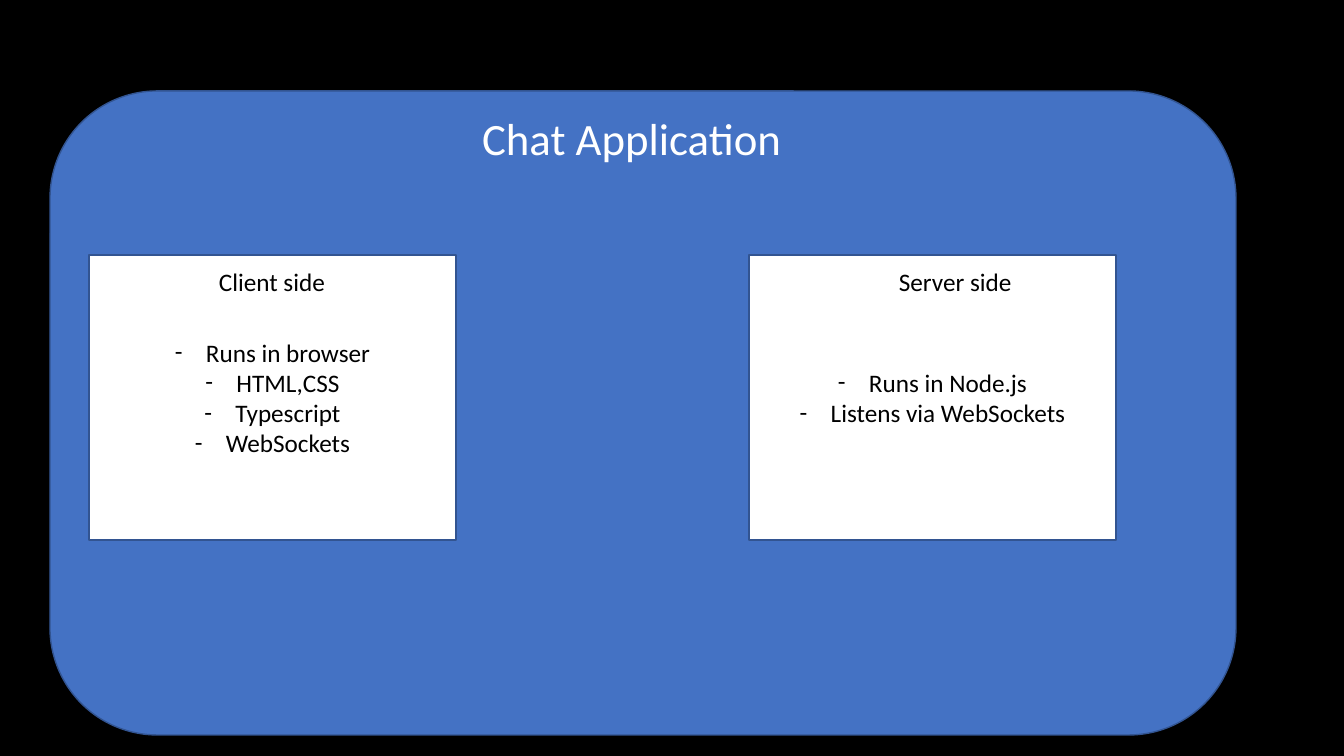
from lxml.etree import SubElement
from pptx import Presentation
from pptx.dml.color import RGBColor
from pptx.enum.shapes import MSO_SHAPE as SHAPE
from pptx.enum.text import MSO_ANCHOR as ANCHOR, MSO_AUTO_SIZE as AUTO, PP_ALIGN as ALIGN
from pptx.oxml.ns import qn
from pptx.util import Pt

TITLE = "Chat Application"
SIDES = [
    {"name": "Client side", "left": 89, "label": (209, 261, 128, 40),
     "items": ["Runs in browser", "HTML,CSS", "Typescript", "WebSockets"]},
    {"name": "Server side", "left": 749, "label": (889, 261, 134, 40),
     "items": ["Runs in Node.js", "Listens via WebSockets"]},
]
PANEL = (50, 91, 1186, 644)
TITLE_BOX = (472, 106, 324, 65)
BOX_TOP, BOX_W, BOX_H = 255, 367, 285
INDENT = 31
BLACK, WHITE, BLUE, EDGE = "000000", "FFFFFF", "4472C4", "325491"
SCALE = 914400 / 100.8


def px(n):
    return round(n * SCALE)


def paint(fill, color):
    fill.solid()
    fill.fore_color.rgb = RGBColor.from_string(color)


def apply(target, values):
    for name, value in values.items():
        setattr(target, name, value)


def add_box(s, preset, at, color):
    sp = s.shapes.add_shape(preset, *map(px, at))
    sp.shadow.inherit = False
    paint(sp.fill, color)
    paint(sp.line.fill, EDGE)
    sp.line.width = Pt(1)
    return sp


def write(p, text, size, color, align):
    p.alignment = align
    r = p.add_run()
    r.text = text
    apply(r.font, {"name": "Calibri", "size": Pt(size)})
    paint(r.font.fill, color)


def write_label(sp, text, size, color):
    tf = sp.text_frame
    apply(tf, {"word_wrap": False, "auto_size": AUTO.SHAPE_TO_FIT_TEXT,
               "vertical_anchor": ANCHOR.TOP})
    write(tf.paragraphs[0], text, size, color, ALIGN.LEFT)


def write_list(sp, items):
    tf = sp.text_frame
    tf.vertical_anchor = ANCHOR.MIDDLE
    for i, item in enumerate(items):
        p = tf.add_paragraph() if i else tf.paragraphs[0]
        write(p, item, 18, BLACK, ALIGN.CENTER)
        pPr = p._p.get_or_add_pPr()
        pPr.set("marL", str(px(INDENT)))
        pPr.set("indent", str(-px(INDENT)))
        SubElement(pPr, qn("a:buFont"), typeface="Calibri")
        SubElement(pPr, qn("a:buChar"), char="-")


def main():
    prs = Presentation()
    apply(prs, {"slide_width": px(1344), "slide_height": px(756)})
    s = prs.slides.add_slide(prs.slide_layouts[5])
    paint(s.background.fill, BLACK)

    panel = add_box(s, SHAPE.ROUNDED_RECTANGLE, PANEL, BLUE)
    title = s.shapes.title
    apply(title, dict(zip(("left", "top", "width", "height"), map(px, TITLE_BOX))))
    write_label(title, TITLE, 32, WHITE)
    panel.element.addnext(title.element)

    for side in SIDES:
        at = (side["left"], BOX_TOP, BOX_W, BOX_H)
        write_list(add_box(s, SHAPE.RECTANGLE, at, WHITE), side["items"])
        label = s.shapes.add_textbox(*map(px, side["label"]))
        write_label(label, side["name"], 18, BLACK)

    prs.save("out.pptx")


if __name__ == "__main__":
    main()
